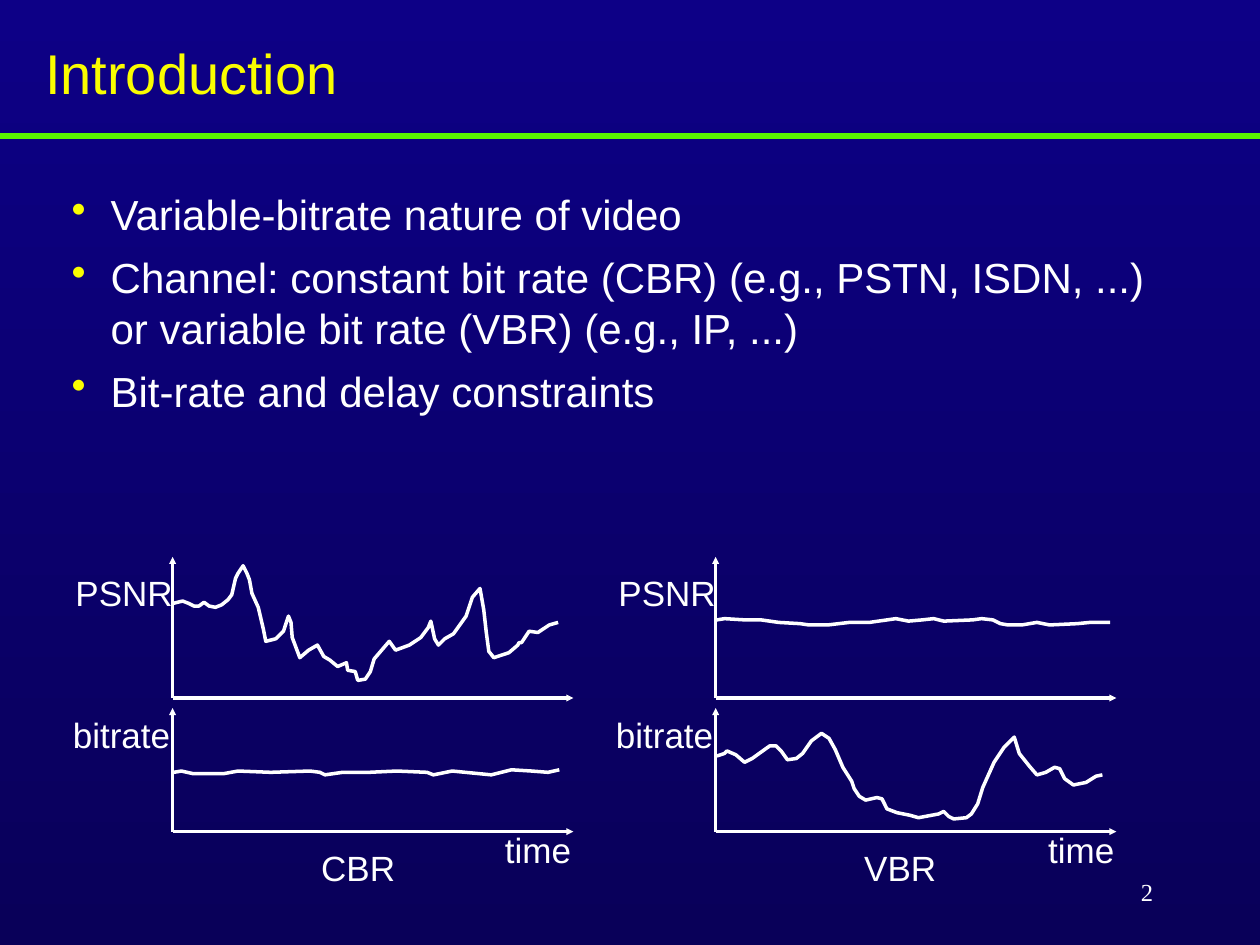
"""Build the introduction slide comparing CBR and VBR video channels."""
from dataclasses import dataclass

from lxml import etree
from pptx import Presentation, util as u
from pptx.dml.color import RGBColor
from pptx.enum import shapes, text
from pptx.oxml import ns


@dataclass(frozen=True)
class Theme:
    """Colours, fonts and sizes used on the slide."""
    sky: str = "0D0086"
    deep: str = "090059"
    rule: str = "5AF400"
    accent: str = "FAFD00"
    ink: str = "FFFFFF"
    font: str = "Arial"
    number_font: str = "Times New Roman"
    title: int = 32
    body: int = 24
    label: int = 20
    number: int = 14
    rule_width: int = 3
    plot_width: int = 2


class Deck:
    """Holds the theme and the current slide."""

    def __init__(self, theme):
        self.theme = theme
        self.deck = Presentation()
        self.deck.slide_width, self.deck.slide_height = u.Inches(10), u.Inches(7.5)
        self.slide = self.deck.slides.add_slide(self.deck.slide_layouts[6])

    def background(self):
        """Fill the slide from top to bottom."""
        fill = self.slide.background.fill
        fill.gradient()
        fill.gradient_angle = 270
        for stop, colour, position in zip(
                fill.gradient_stops, (self.theme.sky, self.theme.deep), (0, 1)):
            stop.color.rgb = RGBColor.from_string(colour)
            stop.position = position

    def stroke(self, line, colour, width):
        """Style a line."""
        line.color.rgb = RGBColor.from_string(colour)
        line.width = u.Pt(width)

    def line(self, start, end, colour, width, arrow=False):
        """Draw a straight line, optionally ending in an arrowhead."""
        connector = self.slide.shapes.add_connector(
            shapes.MSO_CONNECTOR.STRAIGHT, *map(u.Inches, start + end))
        self.stroke(connector.line, colour, width)
        if arrow:
            etree.SubElement(connector.line._get_or_add_ln(), ns.qn("a:tailEnd"),
                             type="triangle", w="sm", len="sm")
        etree.SubElement(connector._element.spPr, ns.qn("a:effectLst"))

    def curve(self, points, shift):
        """Draw an open trace through points moved right by shift."""
        start, *rest = [(u.Inches(x + shift), u.Inches(y)) for x, y in points]
        builder = self.slide.shapes.build_freeform(*start)
        builder.add_line_segments(rest, close=False)
        trace = builder.convert_to_shape()
        trace.fill.background()
        self.stroke(trace.line, self.theme.ink, self.theme.plot_width)
        trace.shadow.inherit = False

    def text(self, box, lines, size, colour=None, font=None, wrap=False, middle=False):
        """Add a text box and return its paragraphs."""
        frame = self.slide.shapes.add_textbox(*map(u.Inches, box)).text_frame
        frame.word_wrap = wrap
        if not wrap:
            frame.auto_size = text.MSO_AUTO_SIZE.SHAPE_TO_FIT_TEXT
        if middle:
            frame.vertical_anchor = text.MSO_ANCHOR.MIDDLE
        frame.text = "\n".join(lines)
        for paragraph in frame.paragraphs:
            paragraph.font.name = font or self.theme.font
            paragraph.font.size = u.Pt(size)
            paragraph.font.color.rgb = RGBColor.from_string(colour or self.theme.ink)
        return frame.paragraphs

    def bullets(self, box, lines):
        """Add a bulleted list with a hanging indent."""
        for paragraph in self.text(box, lines, self.theme.body, wrap=True):
            paragraph.space_before = u.Pt(7.2)
            properties = paragraph._p.get_or_add_pPr()
            properties.set("marL", str(u.Inches(0.31)))
            properties.set("indent", str(-u.Inches(0.31)))
            bullet_colour = etree.Element(ns.qn("a:buClr"))
            etree.SubElement(bullet_colour, ns.qn("a:srgbClr"), val=self.theme.accent)
            bullet = etree.Element(ns.qn("a:buChar"), char="•")
            spacing = properties.find(ns.qn("a:spcBef"))
            spacing.addnext(bullet_colour)
            bullet_colour.addnext(bullet)

    def axes(self, shift, top, base):
        """Draw a pair of arrows meeting at the origin."""
        origin = (1.37 + shift, base)
        for tip in ((1.37 + shift, top), (4.55 + shift, base)):
            self.line(origin, tip, self.theme.ink, self.theme.plot_width, arrow=True)

    def panel(self, shift, channel, psnr, bitrate):
        """Draw the quality and bitrate plots of one channel."""
        self.axes(shift, 4.42, 5.54)
        self.axes(shift, 5.62, 6.6)
        for label, left, top, width in (("PSNR", 0.5, 4.49, 0.98),
                                        ("bitrate", 0.48, 5.61, 0.97),
                                        ("time", 3.91, 6.53, 0.73),
                                        (channel, 2.45, 6.67, 0.79)):
            self.text((left + shift, top, width, 0.43), [label], self.theme.label)
        self.curve(psnr, shift)
        self.curve(bitrate, shift)


CBR_PSNR = [
    (1.37, 4.79), (1.45, 4.77), (1.5, 4.79), (1.54, 4.81), (1.58, 4.81), (1.62, 4.78),
    (1.66, 4.81), (1.71, 4.82), (1.76, 4.8), (1.81, 4.76), (1.84, 4.72), (1.87, 4.59),
    (1.89, 4.55), (1.93, 4.49), (1.96, 4.55), (1.98, 4.6), (2, 4.71), (2.05, 4.82),
    (2.09, 4.99), (2.11, 5.09), (2.19, 5.07), (2.25, 5.01), (2.29, 4.89), (2.31, 4.94),
    (2.32, 5.06), (2.38, 5.22), (2.45, 5.16), (2.52, 5.12), (2.57, 5.21), (2.62, 5.24),
    (2.68, 5.29), (2.75, 5.26), (2.76, 5.32), (2.82, 5.33), (2.84, 5.4), (2.9, 5.39),
    (2.94, 5.33), (2.97, 5.23), (3.09, 5.09), (3.14, 5.16), (3.25, 5.12), (3.34, 5.06),
    (3.4, 4.98), (3.42, 4.93), (3.45, 5.07), (3.48, 5.12), (3.53, 5.07), (3.6, 5.03),
    (3.7, 4.89), (3.75, 4.74), (3.81, 4.67), (3.84, 4.84), (3.86, 5.02), (3.88, 5.17),
    (3.92, 5.22), (4.04, 5.18), (4.11, 5.12), (4.12, 5.1), (4.14, 5.1), (4.2, 5.01),
    (4.27, 5.02), (4.36, 4.96), (4.43, 4.94)]
CBR_BITRATE = [
    (1.38, 6.13), (1.44, 6.12), (1.53, 6.14), (1.78, 6.14), (1.89, 6.12), (2.15, 6.13),
    (2.46, 6.12), (2.54, 6.13), (2.58, 6.15), (2.72, 6.13), (2.93, 6.13), (3.15, 6.12),
    (3.39, 6.13), (3.44, 6.15), (3.59, 6.12), (3.9, 6.15), (4.06, 6.11), (4.22, 6.12),
    (4.35, 6.13), (4.44, 6.11)]
VBR_PSNR = [
    (1.38, 4.92), (1.44, 4.91), (1.6, 4.92), (1.73, 4.92), (1.87, 4.94), (2.04, 4.95),
    (2.11, 4.96), (2.26, 4.96), (2.43, 4.94), (2.59, 4.94), (2.8, 4.91), (2.9, 4.93),
    (3.01, 4.92), (3.1, 4.91), (3.18, 4.93), (3.41, 4.92), (3.48, 4.91), (3.57, 4.92),
    (3.63, 4.95), (3.69, 4.96), (3.8, 4.96), (3.92, 4.94), (4.02, 4.96), (4.24, 4.95),
    (4.34, 4.94), (4.5, 4.94)]
VBR_BITRATE = [
    (1.38, 6), (1.44, 5.98), (1.46, 5.96), (1.53, 5.99), (1.6, 6.05), (1.66, 6.02),
    (1.73, 5.97), (1.8, 5.92), (1.85, 5.92), (1.89, 5.96), (1.94, 6.03), (2.01, 6.02),
    (2.06, 5.98), (2.13, 5.88), (2.21, 5.82), (2.27, 5.86), (2.32, 5.95), (2.38, 6.09),
    (2.45, 6.2), (2.47, 6.26), (2.51, 6.32), (2.56, 6.35), (2.65, 6.33), (2.69, 6.34),
    (2.73, 6.42), (2.81, 6.45), (2.91, 6.47), (2.98, 6.49), (3.14, 6.46), (3.18, 6.44),
    (3.22, 6.48), (3.26, 6.5), (3.36, 6.49), (3.4, 6.46), (3.45, 6.38), (3.49, 6.25),
    (3.58, 6.05), (3.66, 5.93), (3.74, 5.85), (3.78, 5.98), (3.86, 6.08), (3.92, 6.15),
    (3.99, 6.13), (4.06, 6.09), (4.1, 6.1), (4.14, 6.18), (4.21, 6.23), (4.31, 6.21),
    (4.39, 6.16), (4.44, 6.15)]


def main():
    """Compose and save the slide."""
    theme = Theme()
    deck = Deck(theme)
    deck.background()
    deck.line((0, 1.08), (10, 1.08), theme.rule, theme.rule_width)
    heading = deck.text((0.26, 0.31, 9.46, 0.59), ["Introduction"], theme.title,
                        theme.accent, wrap=True, middle=True)
    heading[0].line_spacing = 0.9
    deck.bullets((0.47, 1.45, 8.95, 2.47), [
        "Variable-bitrate nature of video",
        "Channel: constant bit rate (CBR) (e.g., PSTN, ISDN, ...) "
        "or variable bit rate (VBR) (e.g., IP, ...)",
        "Bit-rate and delay constraints"])
    channels = (("CBR", CBR_PSNR, CBR_BITRATE), ("VBR", VBR_PSNR, VBR_BITRATE))
    for column, (channel, psnr, bitrate) in enumerate(channels):
        deck.panel(column * 4.31, channel, psnr, bitrate)
    number = deck.text((7.17, 6.83, 2.08, 0.5), ["2"], theme.number,
                       font=theme.number_font, wrap=True, middle=True)
    number[0].alignment = text.PP_ALIGN.RIGHT
    deck.deck.save("out.pptx")


if __name__ == "__main__":
    main()
